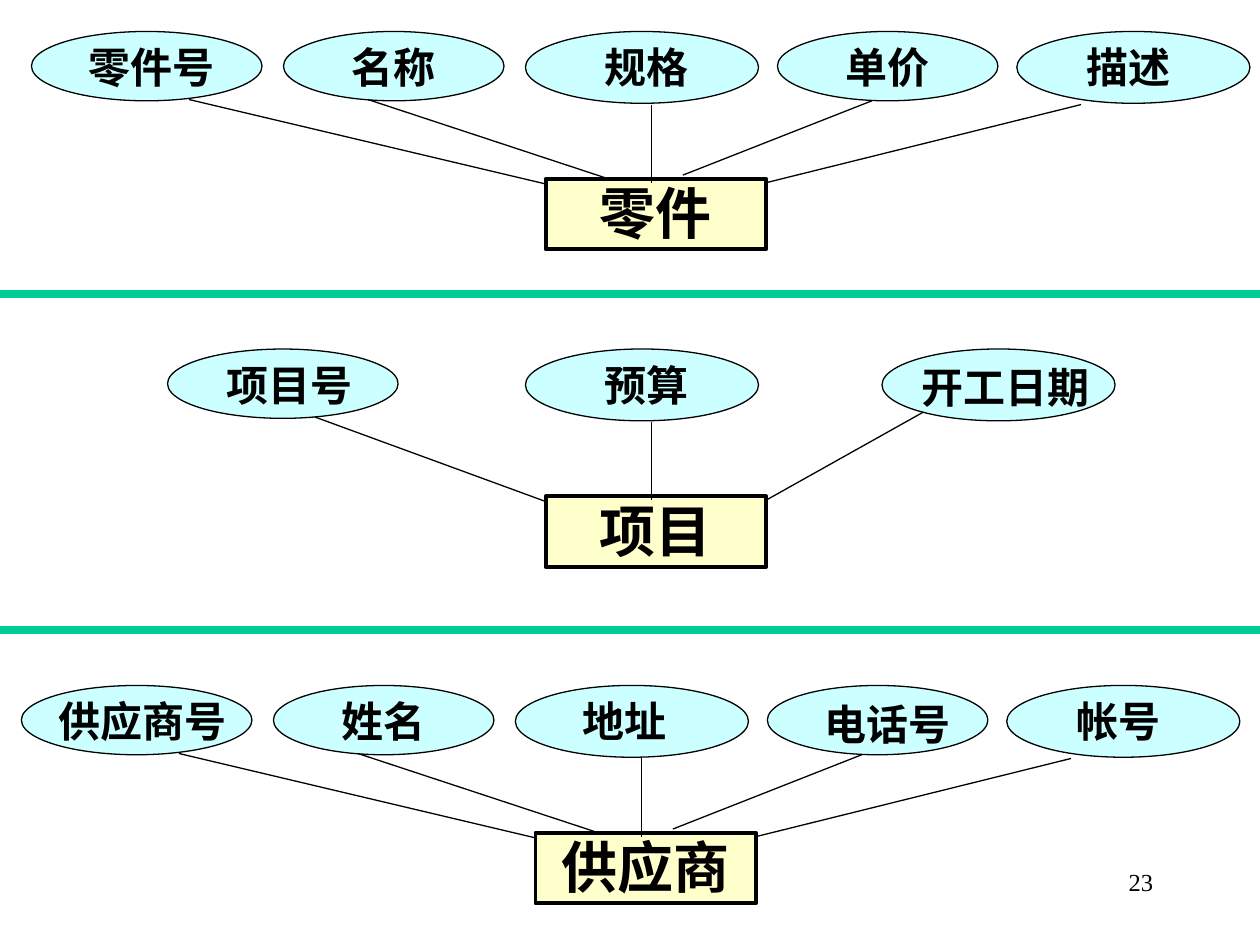
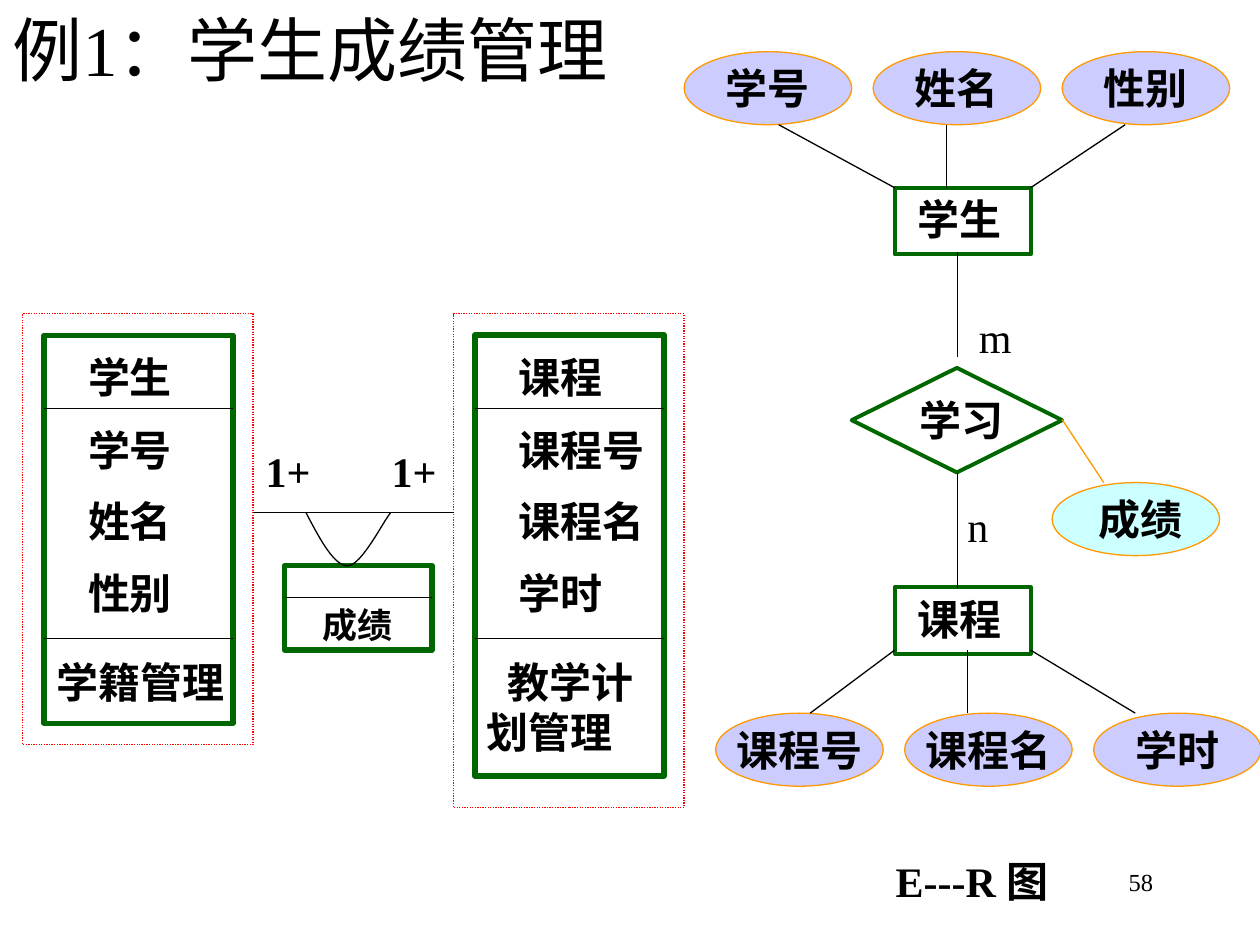
from dataclasses import dataclass
from typing import Any

from lxml import etree
from pptx import Presentation
from pptx import util as u
from pptx.dml.color import RGBColor
from pptx.enum import dml, lang, shapes, text
from pptx.oxml import ns

PX = 9144  # 100 px to the inch
FONT = "Times New Roman"
COLOURS = {
    "ink": "000000",
    "entity": "FFFFCC",
    "attribute": "CCFFFF",
    "key": "CCCCFF",
    "band": "00CC99",
    "frame": "006600",
    "dotted": "FF0000",
    "rim": "FF9900",
}
KINDS = {
    "rect": shapes.MSO_SHAPE.RECTANGLE,
    "oval": shapes.MSO_SHAPE.OVAL,
    "diamond": shapes.MSO_SHAPE.DIAMOND,
}
LEFT, CENTRE, RIGHT = text.PP_ALIGN.LEFT, text.PP_ALIGN.CENTER, text.PP_ALIGN.RIGHT
TOP, MIDDLE = text.MSO_ANCHOR.TOP, text.MSO_ANCHOR.MIDDLE


def px(length):
    return u.Emu(round(length * PX))


def colour(name):
    return RGBColor.from_string(COLOURS[name])


def write(box, words, size=24, bold=True, align=LEFT, anchor=TOP, wrap=True,
          inset=(10, 5), start=0, first=0, gap=12):
    """Fill a box with one paragraph per line of words."""
    frame = box.text_frame
    frame.auto_size = text.MSO_AUTO_SIZE.NONE
    frame.word_wrap = wrap
    frame.vertical_anchor = anchor
    frame.margin_left = frame.margin_right = px(inset[0])
    frame.margin_top = frame.margin_bottom = px(inset[1])
    for index, line in enumerate(words.split("\n")):
        para = frame.add_paragraph() if index else frame.paragraphs[0]
        props = para._p.get_or_add_pPr()
        props.set("marL", str(px(start)))
        props.set("indent", str(px(first)))
        para.alignment = align
        para.line_spacing = 1.0
        para.space_before = u.Pt(gap if index else 0)
        span = para.add_run()
        span.text = line
        span.font.name = FONT
        span.font.size = u.Pt(size)
        span.font.bold = bold
        span.font.color.rgb = colour("ink")
        span.font.language_id = lang.MSO_LANGUAGE_ID.SIMPLIFIED_CHINESE


def outline(item, line, weight):
    item.line.color.rgb = colour(line)
    item.line.width = u.Pt(weight)


def paint(shape, fill, line, weight):
    shape.shadow.inherit = False
    if fill:
        shape.fill.solid()
        shape.fill.fore_color.rgb = colour(fill)
    else:
        shape.fill.background()
    outline(shape, line, weight)


@dataclass
class Region:
    """A part of a page; all places are relative to its corner."""
    page: Any
    left: int = 0
    top: int = 0

    def place(self, left, top, width, height):
        return px(self.left + left), px(self.top + top), px(width), px(height)

    def shape(self, kind, place, fill=None, line="ink", weight=0.75):
        shape = self.page.shapes.add_shape(KINDS[kind], *self.place(*place))
        paint(shape, fill, line, weight)
        return shape

    def label(self, words, place, **style):
        write(self.page.shapes.add_textbox(*self.place(*place)), words, **style)

    def line(self, x1, y1, x2, y2, line="ink", weight=0.75):
        connector = self.page.shapes.add_connector(
            shapes.MSO_CONNECTOR.STRAIGHT,
            px(self.left + x1), px(self.top + y1), px(self.left + x2), px(self.top + y2))
        outline(connector, line, weight)
        etree.SubElement(connector._element.spPr, ns.qn("a:effectLst"))


def page_number(page, number):
    Region(page).label(number, (717, 683, 208, 50), size=14, bold=False, align=RIGHT)


# Oval left, width and height, then the line to the entity
FIVE_SLOTS = [
    (0, 183, 55, (125, 54, 408, 121)),
    (200, 175, 55, (267, 54, 458, 117)),
    (392, 185, 57, (492, 58, 492, 120)),
    (592, 175, 55, (667, 55, 517, 114)),
    (782, 185, 57, (833, 58, 583, 120)),
]
THREE_SLOTS = [
    (108, 183, 55, (225, 54, 408, 121)),
    (392, 185, 57, (492, 58, 492, 120)),
    (675, 185, 57, (708, 50, 583, 120)),
]


def entity_diagram(page, left, top, entity, slots, labels):
    """An entity with its attributes; each label has left, top and width."""
    region = Region(page, left, top)
    write(region.shape("rect", (408, 117, 175, 56), "entity", weight=2.25), entity,
          size=32, align=CENTRE, inset=(0, 0))
    for (oval_left, width, height, link), (name, x, y, label_width) in zip(slots, labels):
        region.shape("oval", (oval_left, 0, width, height), "attribute")
        region.label(name, (x, y, label_width, 40), align=CENTRE, inset=(0, 0))
        region.line(*link)


def entities_page(deck):
    page = deck.slides.add_slide(deck.slide_layouts[6])
    page_number(page, "23")
    entity_diagram(page, 25, 25, "零件", FIVE_SLOTS, [
        ("零件号", 33, 8, 125), ("名称", 250, 8, 75), ("规格", 417, 8, 142),
        ("单价", 642, 8, 75), ("描述", 800, 8, 142)])
    entity_diagram(page, 25, 277, "项目", THREE_SLOTS, [
        ("项目号", 142, 8, 125), ("预算", 417, 8, 142), ("开工日期", 702, 10, 142)])
    entity_diagram(page, 17, 544, "供应商", FIVE_SLOTS, [
        ("供应商号", 25, 8, 142), ("姓名", 250, 8, 75), ("地址", 408, 8, 142),
        ("电话号", 633, 10, 108), ("帐号", 800, 8, 142)])
    # Bands between the diagrams
    for y in (233, 500):
        Region(page).line(0, y, 1000, y, "band", 4.5)


def class_box(page, left, top, height, frame_height, name, fields, service, service_place):
    region = Region(page, left, top)
    region.shape("rect", (17, 17, 150, frame_height), line="frame", weight=3)
    for y in (75, 258):
        region.line(17, y, 167, y)
    border = region.shape("rect", (0, 0, 183, height), line="dotted")
    border.line.dash_style = dml.MSO_LINE.ROUND_DOT
    region.label(name, (25, 25, 142, 50), start=17)
    region.label(fields, (25, 83, 142, 170), start=17)
    region.label(service, service_place, first=17)


def bezier(points, steps=12):
    """Points along a cubic curve, without its first one."""
    for step in range(1, steps + 1):
        t = step / steps
        weights = ((1 - t) ** 3, 3 * t * (1 - t) ** 2, 3 * t * t * (1 - t), t ** 3)
        yield tuple(sum(w * p[axis] for w, p in zip(weights, points)) for axis in (0, 1))


def association(page, left, top):
    """The link between both classes with its own class below."""
    region = Region(page, left, top)
    region.line(0, 58, 159, 58)
    for x in (0, 100):
        region.label("1+", (x, 0, 75, 50))
    region.shape("rect", (25, 100, 117, 67), line="frame", weight=3)
    region.line(25, 125, 142, 125)
    region.label("成绩", (17, 125, 133, 43), size=20, start=28)
    # Loop from the link down to the class
    down = [(42, 58), (53, 79), (64, 100), (75, 100)]
    up = [(75, 100), (86, 100), (103, 65), (109, 58)]
    points = [(px(left + x), px(top + y)) for x, y in [*bezier(down), *bezier(up)]]
    builder = page.shapes.build_freeform(px(left + 42), px(top + 58))
    builder.add_line_segments(points, close=False)
    paint(builder.convert_to_shape(), None, "ink", 0.75)


def er_diagram(page, left, top):
    region = Region(page, left, top)

    def centred(kind, place, words, fill, line, weight, start=0):
        write(region.shape(kind, place, fill, line, weight), words, align=CENTRE,
              anchor=MIDDLE, wrap=False, start=start)

    # Entities and their relationship
    for name, y in (("学生", 108), ("课程", 425)):
        write(region.shape("rect", (167, y, 108, 53), line="frame", weight=2.25), name, start=8)
    centred("diamond", (133, 251, 167, 83), "学习", None, "frame", 2.25, start=8)
    region.line(217, 242, 217, 159)
    region.line(217, 334, 217, 426)
    region.label("m", (224, 201, 83, 50), bold=False)
    region.label("n", (207, 351, 83, 50), bold=False, start=8)
    centred("oval", (292, 342, 133, 58), "成绩", "attribute", "rim", 0.75, start=8)
    region.line(300, 292, 333, 342, "rim")
    # Attributes above and below
    for x, y, names in ((0, 0, ("学号", "姓名", "性别")),
                        (25, 525, ("课程号", "课程名", "学时"))):
        for index, name in enumerate(names):
            centred("oval", (x + 150 * index, y, 133, 58), name, "key", "rim", 0.75)
    for x1, x2 in ((75, 167), (208, 208), (350, 275)):
        region.line(x1, 58, x2, 108)
    for x1, x2 in ((167, 100), (225, 225), (275, 358)):
        region.line(x1, 475, x2, 525)


def grades_page(deck):
    page = deck.slides.add_slide(deck.slide_layouts[5])
    title = page.shapes.title
    title.left, title.top, title.width, title.height = Region(page).place(0, 0, 964, 92)
    write(title, "例1：学生成绩管理", size=40, bold=False, start=38, first=-38)
    page_number(page, "58")
    class_box(page, 18, 249, 342, 308, "学生", "学号\n姓名\n性别",
              "学籍管理", (0, 267, 183, 50))
    class_box(page, 360, 249, 392, 350, "课程", "课程号\n课程名\n学时",
              "教学计划管理", (16, 267, 150, 90))
    association(page, 201, 349)
    er_diagram(page, 543, 41)
    Region(page).label("E---R 图", (693, 674, 167, 50), start=8)


def main():
    deck = Presentation()
    deck.slide_width, deck.slide_height = px(1000), px(750)
    entities_page(deck)
    grades_page(deck)
    deck.save("out.pptx")


if __name__ == "__main__":
    main()
